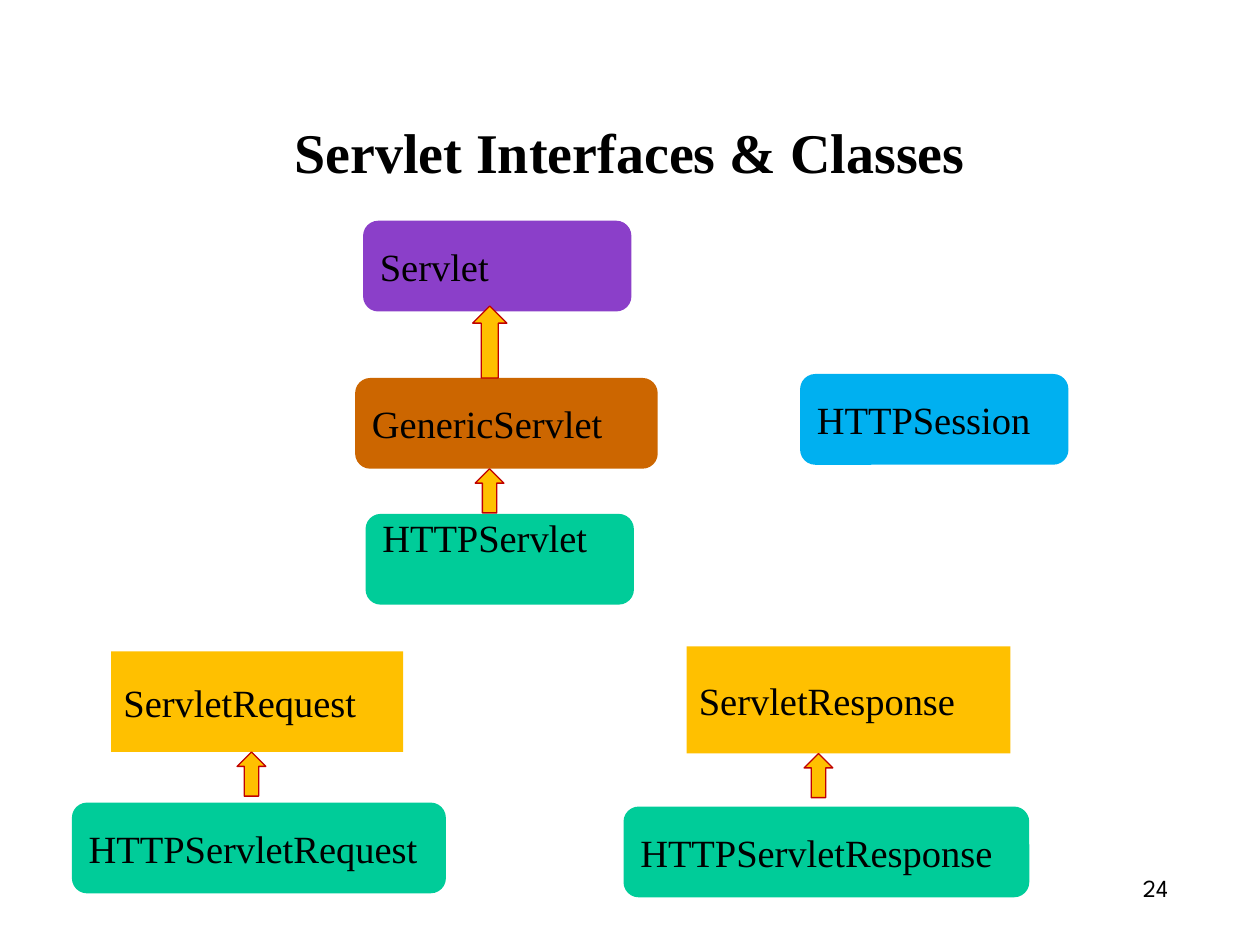
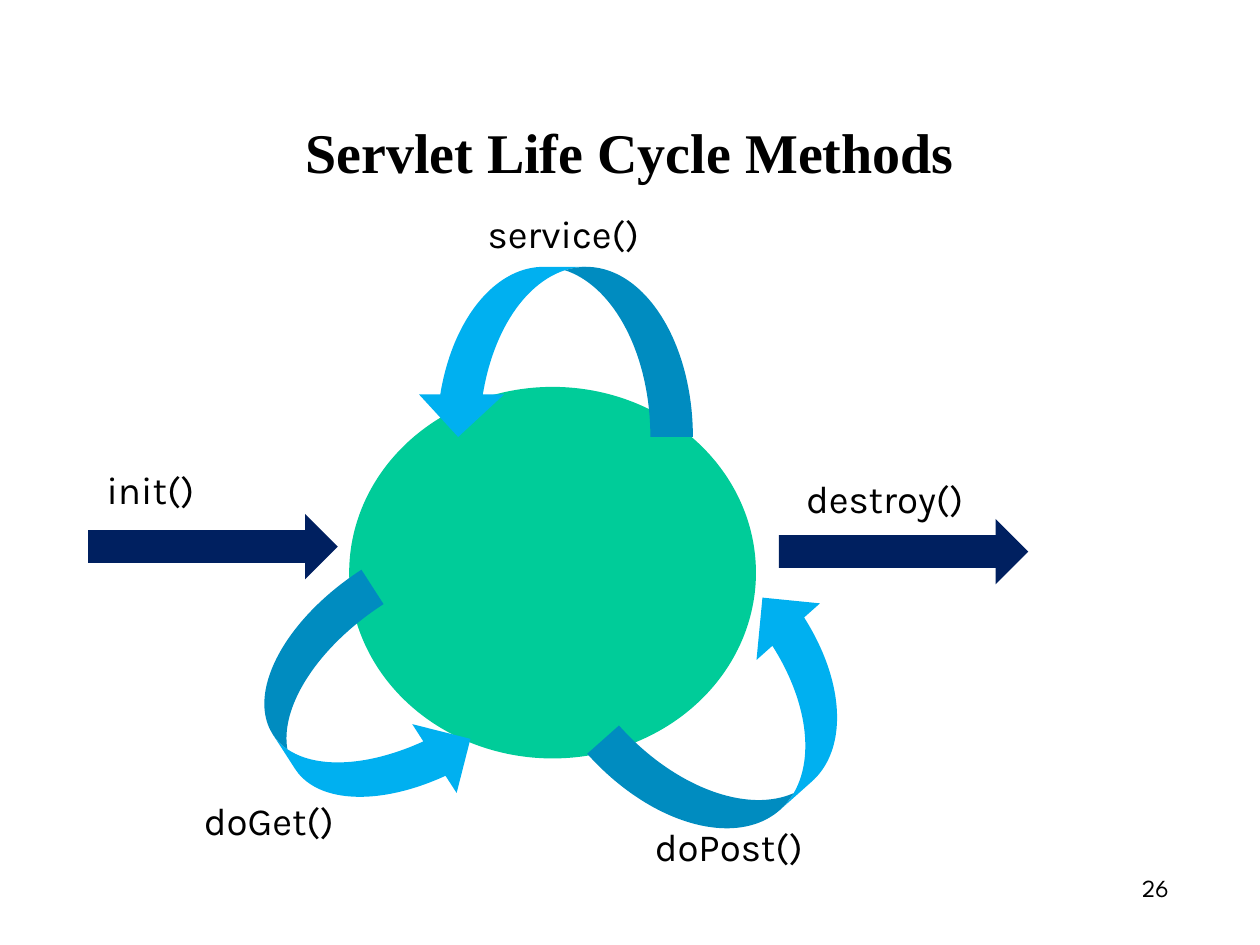
from pptx import Presentation
from pptx.dml.color import RGBColor
from pptx.enum.shapes import MSO_SHAPE as Preset
from pptx.enum.text import MSO_ANCHOR as Anchor, MSO_AUTO_SIZE as AutoSize, PP_ALIGN as Align
from pptx.oxml.ns import qn
from pptx.util import Cm, Pt

COLORS = {
    "text": "000000",
    "interface": "8B3FC9",
    "generic": "CC6600",
    "http": "00CC99",
    "sky": "00B0F0",
    "gold": "FFC000",
    "red": "C00000",
    "navy": "002060",
}
FONTS = {"serif": "Times New Roman", "label": "Karla", "number": "League Spartan"}
BODY_SIZE = 22
BOX_HEIGHT = 1.83


class Deck:
    def __init__(self):
        self.presentation = Presentation()
        self.presentation.slide_width = Cm(25.4)
        self.presentation.slide_height = Cm(19.05)
        self.slide = None

    def add_slide(self, title, number):
        self.slide = self.presentation.slides.add_slide(self.presentation.slide_layouts[6])
        self.text(number, 22.61, 17.17, 1.37, 1.55, "number", 14, Align.CENTER, spacing=1.5)
        self.text(title, 1.27, 2.24, 22.86, 1.7, "serif", 32, Align.CENTER, bold=True)

    def set_text(self, shape, text, font, size, align=Align.LEFT, bold=False):
        frame = shape.text_frame
        frame.word_wrap = True
        frame.text = text
        paragraph = frame.paragraphs[0]
        paragraph.alignment = align
        style = paragraph.runs[0].font
        style.name = FONTS[font]
        style.size = Pt(size)
        style.bold = bold
        style.color.rgb = RGBColor.from_string(COLORS["text"])
        return paragraph

    def text(self, text, left, top, width, height, font, size,
             align=Align.LEFT, bold=False, spacing=None):
        box = self.slide.shapes.add_textbox(Cm(left), Cm(top), Cm(width), Cm(height))
        paragraph = self.set_text(box, text, font, size, align, bold)
        paragraph.line_spacing = spacing
        return box

    def label(self, text, left, top):
        box = self.text(text, left, top, 4.06, 1.19, "label", BODY_SIZE)
        box.text_frame.auto_size = AutoSize.SHAPE_TO_FIT_TEXT

    def shape(self, preset, left, top, width, height, fill, line=None):
        shape = self.slide.shapes.add_shape(preset, Cm(left), Cm(top), Cm(width), Cm(height))
        shape.shadow.inherit = False
        shape.fill.solid()
        shape.fill.fore_color.rgb = RGBColor.from_string(COLORS[fill])
        if line:
            shape.line.color.rgb = RGBColor.from_string(COLORS[line])
            shape.line.width = Pt(0.75)
        else:
            shape.line.fill.background()
        return shape

    def box(self, text, left, top, width, fill, height=BOX_HEIGHT, preset=Preset.ROUNDED_RECTANGLE):
        box = self.shape(preset, left, top, width, height, fill)
        self.set_text(box, text, "serif", BODY_SIZE)
        box.text_frame.vertical_anchor = Anchor.MIDDLE
        return box

    def inherits(self, left, top, width=0.58, height=0.89):
        self.shape(Preset.UP_ARROW, left, top, width, height, "gold", "red")

    def flow(self, left, top):
        self.shape(Preset.RIGHT_ARROW, left, top, 5.03, 1.32, "navy")

    def loop(self, left, top, width=5.59, height=3.43, rotation=0):
        arrow = self.shape(Preset.CURVED_DOWN_ARROW, left, top, width, height, "sky")
        arrow.rotation = rotation
        arrow.element.spPr.find(qn("a:xfrm")).set("flipH", "1")


def add_class_slide(deck):
    deck.add_slide("Servlet Interfaces & Classes", "24")
    deck.box("Servlet", 7.32, 4.45, 5.41, "interface")
    deck.box("HTTPSession", 16.13, 7.54, 5.41, "sky")
    deck.box("GenericServlet", 7.16, 7.62, 6.1, "generic")
    http_servlet = deck.box("HTTPServlet", 7.37, 10.36, 5.41, "http")
    http_servlet.text_frame.margin_bottom = Cm(1)
    deck.box("HTTPServletRequest", 1.45, 16.18, 7.54, "http")
    deck.box("HTTPServletResponse", 12.57, 16.26, 8.18, "http")
    deck.box("ServletRequest", 2.24, 13.13, 5.89, "gold", 2.03, Preset.RECTANGLE)
    deck.box("ServletResponse", 13.84, 13.03, 6.53, "gold", 2.16, Preset.RECTANGLE)
    deck.inherits(9.53, 6.17, 0.69, 1.45)
    for left, top in ((9.58, 9.45), (4.78, 15.16), (16.21, 15.19)):
        deck.inherits(left, top)


def add_life_cycle_slide(deck):
    deck.add_slide("Servlet Life Cycle Methods", "26")
    deck.shape(Preset.OVAL, 7.04, 7.8, 8.2, 7.49, "http")
    deck.loop(8.38, 5.38)
    deck.loop(4.78, 12.78, 4.88, 3.3, rotation=237.2)
    deck.loop(12.27, 12.9, rotation=138.3)
    deck.flow(1.78, 10.36)
    deck.flow(15.7, 10.46)
    for method, left, top in (
        ("init()", 1.9, 9.27),
        ("destroy()", 16, 9.45),
        ("service()", 9.58, 4.11),
        ("doGet()", 3.86, 15.95),
        ("doPost()", 12.95, 16.46),
    ):
        deck.label(method, left, top)


def main():
    deck = Deck()
    add_class_slide(deck)
    add_life_cycle_slide(deck)
    deck.presentation.save("out.pptx")


if __name__ == "__main__":
    main()
